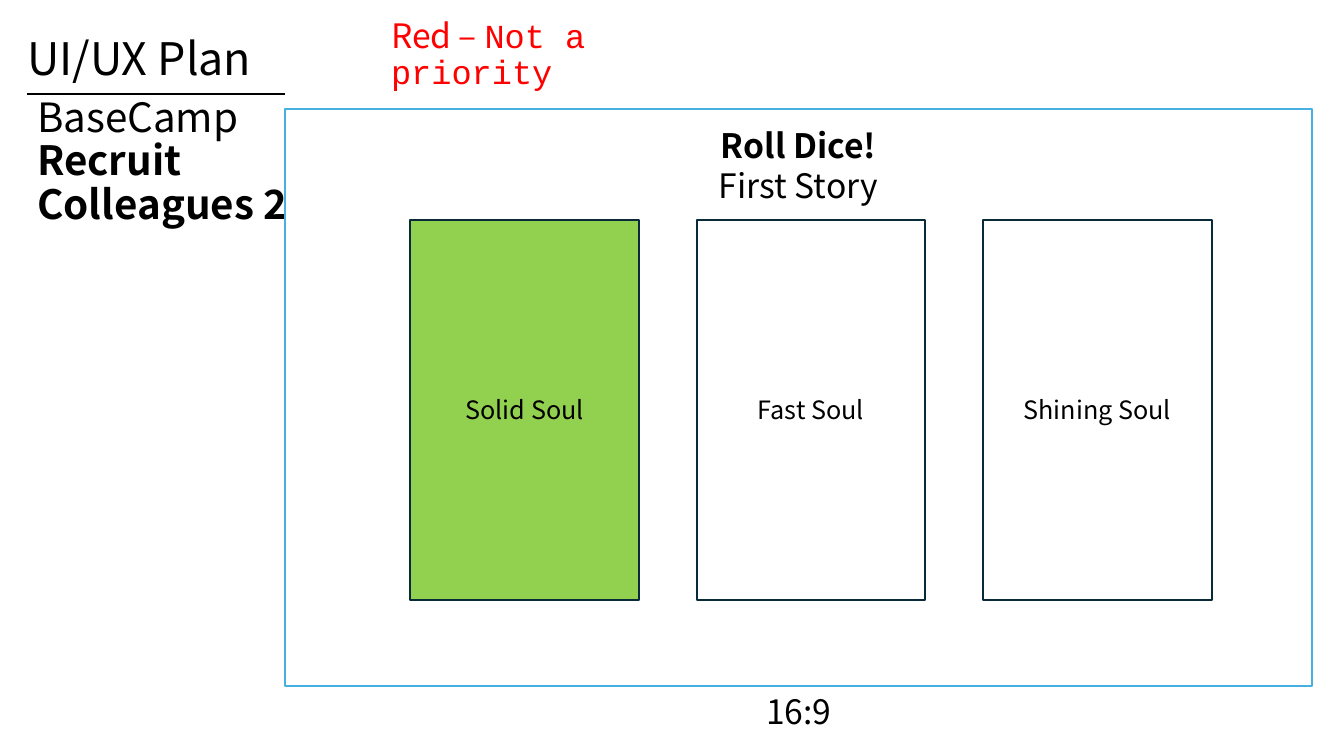
from lxml.etree import SubElement
from pptx import Presentation
from pptx.dml.color import RGBColor
from pptx.enum.shapes import MSO_CONNECTOR, MSO_SHAPE
from pptx.enum.text import MSO_ANCHOR, PP_ALIGN
from pptx.oxml.ns import qn
from pptx.util import Inches, Pt

COLORS = {"ink": "000000", "paper": "FFFFFF", "frame": "46B1E1",
          "card_edge": "092A39", "chosen": "92D050", "minor": "FF0000"}
SANS, MONO = "Noto Sans CJK KR", "Courier New"

deck = Presentation()
deck.slide_width, deck.slide_height = Inches(13.33), Inches(7.5)
slide = deck.slides.add_slide(deck.slide_layouts[6])


def area(*shares):
    """Turn percentages of the slide (x, y, x, y) into lengths."""
    sides = (deck.slide_width, deck.slide_height) * 2
    return [int(side * share / 100) for side, share in zip(sides, shares)]


def write(shape, paragraphs, color="ink", anchor=MSO_ANCHOR.MIDDLE, **layout):
    """Fill a shape with paragraphs, each a list of (text, font values)."""
    frame = shape.text_frame
    frame.word_wrap, frame.vertical_anchor = True, anchor
    for number, runs in enumerate(paragraphs):
        paragraph = frame.add_paragraph() if number else frame.paragraphs[0]
        for key, value in layout.items():
            setattr(paragraph, key, value)
        for text, values in runs:
            if text == "\n":
                paragraph.add_line_break()
                continue
            run = paragraph.add_run()
            run.text = text
            for key, value in {"name": SANS, "bold": False, **values}.items():
                setattr(run.font, key, value)
            run.font.color.rgb = RGBColor.from_string(COLORS[color])


# Headings at the left, the aspect ratio and the note on priority
title_size, note_size = {"size": Pt(28.8)}, {"size": Pt(24)}
labels = [
    ((1.28, 1.73, 86.27, 12.8), "ink", [("UI/UX Plan", {"size": Pt(32)})]),
    ((2.03, 12.4, 20.18, 18.27), "ink",
     [("BaseCamp", title_size), ("\n", {}),
      ("Recruit Colleagues 2", {**title_size, "bold": True})]),
    ((56.26, 89.07, 9.38, 10.67), "ink", [("16:9", note_size)]),
    ((28.36, 2, 24.98, 10.67), "minor",
     [("Red – ", note_size), ("Not a priority", {**note_size, "name": MONO})]),
]
for place, color, runs in labels:
    write(slide.shapes.add_textbox(*area(*place)), [runs], color, line_spacing=0.9)

# Rule under the heading
rule = slide.shapes.add_connector(MSO_CONNECTOR.STRAIGHT, *area(2.03, 12.4, 21.23, 12.4))
rule.line.width = Pt(1.5)
rule.line.color.rgb = RGBColor.from_string(COLORS["ink"])
SubElement(rule._element.spPr, qn("a:effectLst"))

# Game screen and its three evenly spaced cards
FIRST_CARD, CARD_STEP = 30.53, 21.3
panels = [((21.23, 14.4, 76.37, 76.4), None, "frame", "")]
for column, (soul, fill) in enumerate([("Solid Soul", "chosen"), ("Fast Soul", "paper"),
                                       ("Shining Soul", "paper")]):
    place = (FIRST_CARD + column * CARD_STEP, 29.07, 17.03, 50.27)
    panels.append((place, fill, "card_edge", soul))

for place, fill, edge, caption in panels:
    panel = slide.shapes.add_shape(MSO_SHAPE.RECTANGLE, *area(*place))
    panel.shadow.inherit = False
    panel.line.width = Pt(1.5)
    panel.line.color.rgb = RGBColor.from_string(COLORS[edge])
    if fill:
        panel.fill.solid()
        panel.fill.fore_color.rgb = RGBColor.from_string(COLORS[fill])
    else:
        panel.fill.background()
    if caption:
        write(panel, [[(caption, {"size": Pt(18)})]], alignment=PP_ALIGN.CENTER)

# Prompt above the cards
prompt = slide.shapes.add_textbox(*area(47.56, 15.87, 23.71, 12.13))
write(prompt, [[("Roll Dice!", {**note_size, "bold": True})], [("First Story", note_size)]],
      anchor=MSO_ANCHOR.TOP, alignment=PP_ALIGN.CENTER)

deck.save("out.pptx")
